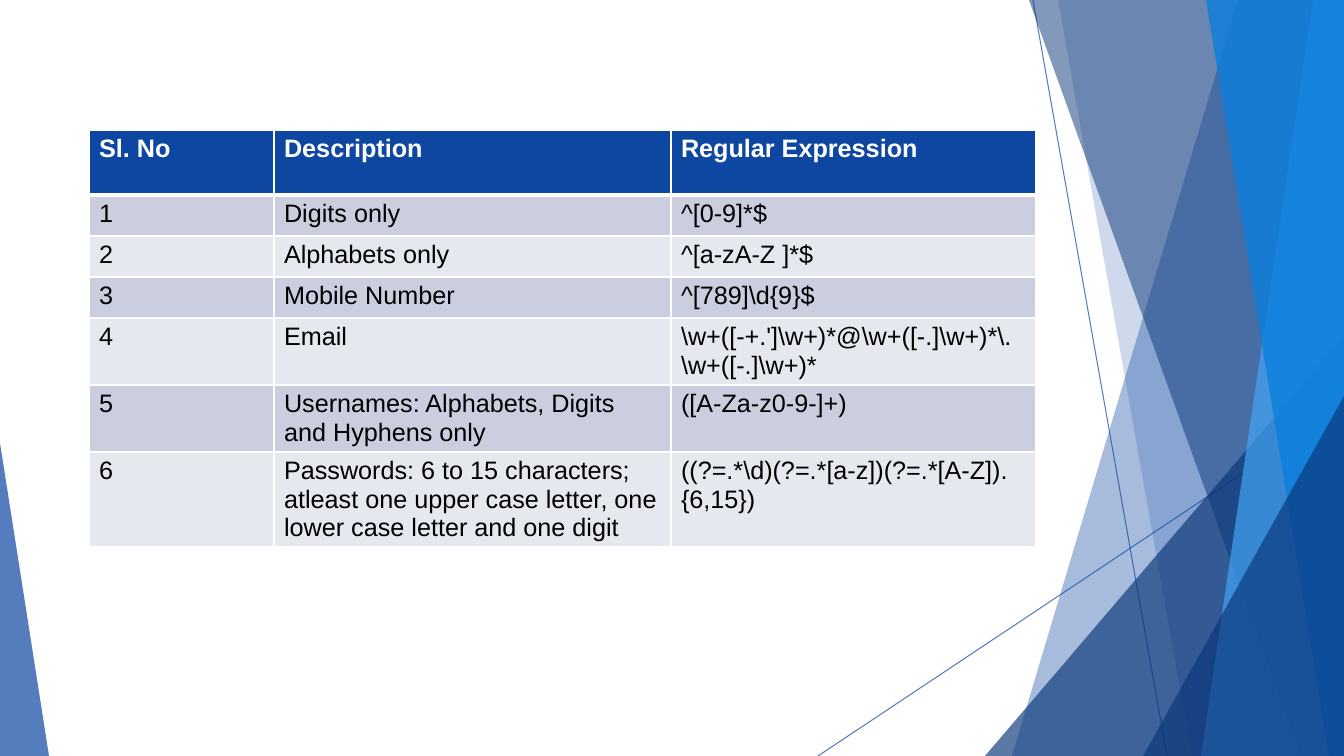
from lxml import etree
from pptx import Presentation
from pptx import util as u
from pptx.dml.color import RGBColor
from pptx.enum import shapes
from pptx.oxml import ns

W, H = 1344, 756
NAVY, DARK, SKY, AZURE = "0D47A1", "093578", "42A5F5", "0B7FDD"


def px(n):
    return u.Emu(round(n * 914400 / 100.8))


def paint(fill, colour, opacity=100):
    fill.solid()
    fill.fore_color.rgb = RGBColor.from_string(colour)
    if opacity < 100:
        clr = next(fill._xPr.iter(ns.qn("a:srgbClr")))
        etree.SubElement(clr, ns.qn("a:alpha"), val=str(opacity * 1000))


prs = Presentation()
prs.slide_width, prs.slide_height = px(W), px(H)
s = prs.slides.add_slide(prs.slide_layouts[6])

# Thin crossing lines
for x1, y1, x2, y2 in [(1033, 0, 1167, H), (W, 406, 818, H)]:
    line = s.shapes.add_connector(shapes.MSO_CONNECTOR.STRAIGHT,
                                  px(x1), px(y1), px(x2), px(y2))
    paint(line.line.fill, NAVY, 70)
    line.line.width = u.Pt(0.75)
    etree.SubElement(line._element.spPr, ns.qn("a:effectLst"))

# Facets, back to front: a band has its left edge's top and bottom x,
# a triangle has left, top, width, height and apex position
facets = [
    ((1238, 1012), NAVY, 36),
    ((1058, 1192), NAVY, 20),
    ((985, 336, 359, 420, 1), DARK, 66),
    ((1029, 1301), DARK, 50),
    ((1313, 1201), SKY, 70),
    ((1206, 1329), AZURE, 80),
    ((1143, 396, 201, 360, 1), DARK, 66),
    ((0, 443, 49, 313, 0), NAVY, 70),
]
for geometry, colour, opacity in facets:
    if len(geometry) == 2:
        top_x, bottom_x = geometry
        outline = s.shapes.build_freeform(px(top_x), 0)
        outline.add_line_segments([(px(W), 0), (px(W), px(H)), (px(bottom_x), px(H))])
        sp = outline.convert_to_shape()
    else:
        *box, apex = geometry
        sp = s.shapes.add_shape(shapes.MSO_SHAPE.ISOSCELES_TRIANGLE, *map(px, box))
        sp.adjustments[0] = apex
    paint(sp.fill, colour, opacity)
    sp.line.fill.background()
    sp.shadow.inherit = False

# Table of regular expressions
rows = [
    ("Sl. No", "Description", "Regular Expression"),
    ("1", "Digits only", "^[0-9]*$"),
    ("2", "Alphabets only", "^[a-zA-Z ]*$"),
    ("3", "Mobile Number", r"^[789]\d{9}$"),
    ("4", "Email", r"\w+([-+.']\w+)*@\w+([-.]\w+)*\.\w+([-.]\w+)*"),
    ("5", "Usernames: Alphabets, Digits and Hyphens only", "([A-Za-z0-9-]+)"),
    ("6", "Passwords: 6 to 15 characters; atleast one upper case letter, "
          "one lower case letter and one digit",
     r"((?=.*\d)(?=.*[a-z])(?=.*[A-Z]).{6,15})"),
]
widths = [185, 397, 365]
heights = [65, 41, 41, 41, 67, 67, 94]
table = s.shapes.add_table(len(rows), len(widths), px(89), px(130),
                           px(sum(widths)), px(sum(heights))).table
for column, width in zip(table.columns, widths):
    column.width = px(width)

for i, texts in enumerate(rows):
    table.rows[i].height = px(heights[i])
    header = i == 0
    for j, wording in enumerate(texts):
        cell = table.cell(i, j)
        # White borders, heavier under the header
        tcPr = cell._tc.get_or_add_tcPr()
        for side in "LRTB":
            heavy = (i, side) in [(0, "B"), (1, "T")]
            ln = etree.SubElement(tcPr, ns.qn("a:ln" + side),
                                  w=str(u.Pt(3 if heavy else 1)))
            solid = etree.SubElement(ln, ns.qn("a:solidFill"))
            etree.SubElement(solid, ns.qn("a:srgbClr"), val="FFFFFF")
        paint(cell.fill, NAVY if header else "CACEDF" if i % 2 else "E6E8F0")
        r = cell.text_frame.paragraphs[0].add_run()
        r.text = wording
        r.font.name, r.font.size, r.font.bold = "Arial", u.Pt(18), header
        paint(r.font.fill, "FFFFFF" if header else "000000")

prs.save("out.pptx")
